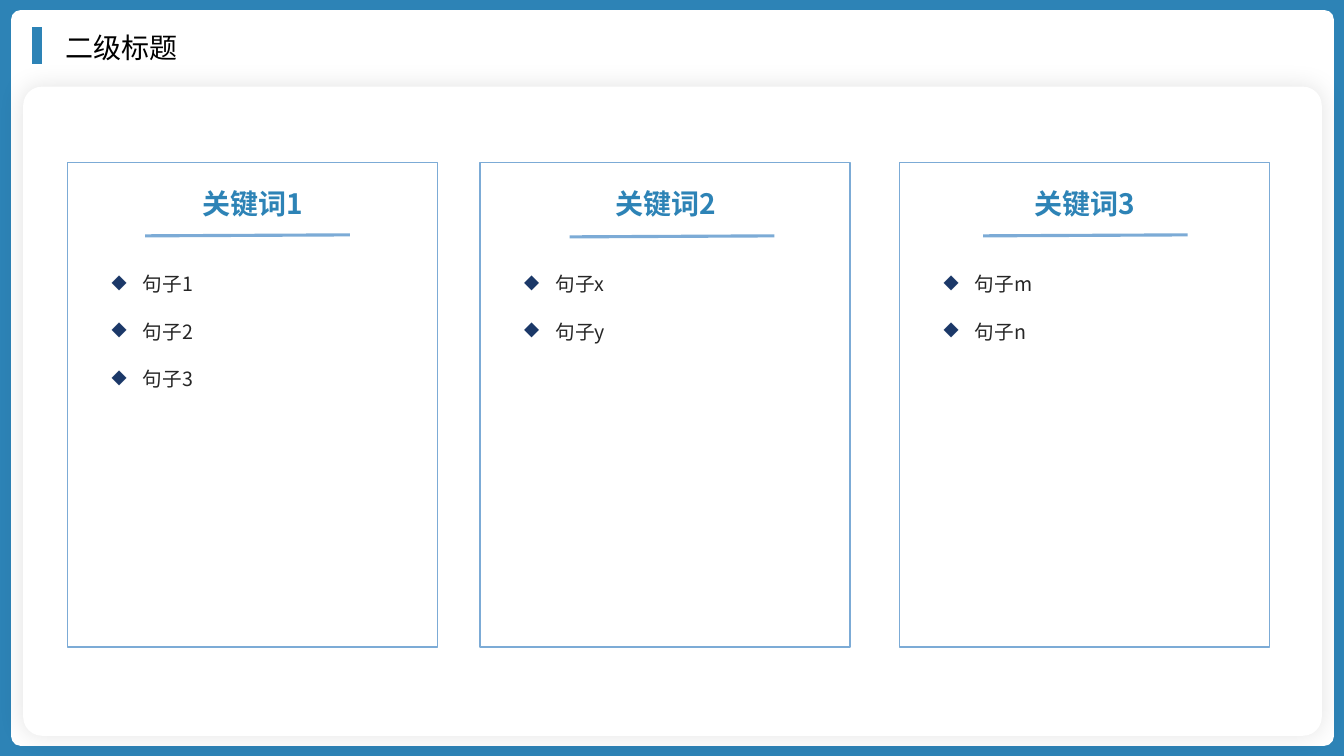
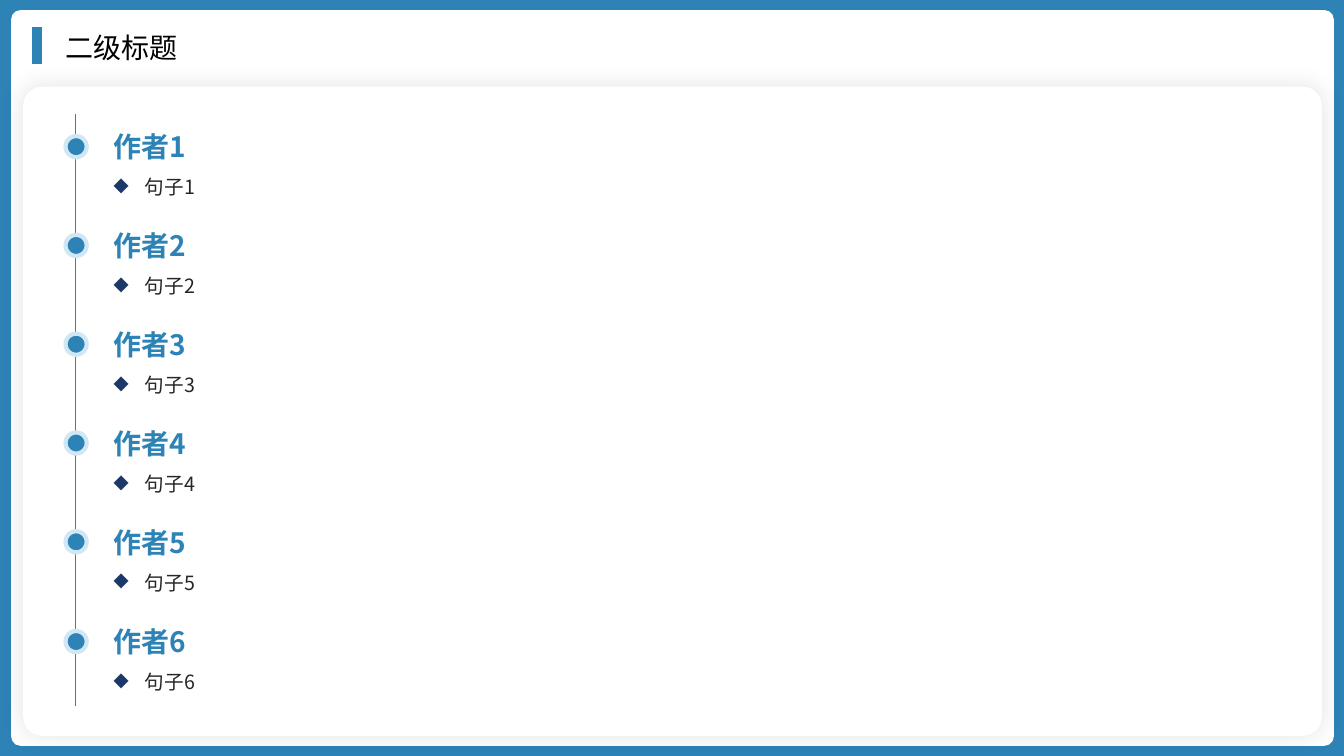
"""Build a three-card keyword slide and a six-author timeline slide."""
from dataclasses import dataclass

from lxml.etree import SubElement as Sub
from pptx import Presentation as Deck
from pptx.dml.color import RGBColor as Rgb
from pptx.enum.shapes import MSO_CONNECTOR as Link, MSO_SHAPE as Kind
from pptx.enum.text import MSO_AUTO_SIZE as Fit, PP_ALIGN as Align
from pptx.oxml.ns import qn
from pptx.shapes.autoshape import Shape
from pptx.slide import Slide
from pptx.util import Emu, Pt

SCALE = 9144
WIDE, HIGH = 1333, 750
BLUE, SKY, PALE = "2D83B6", "7CABD6", "D2E7F4"
NAVY, INK, BLACK, WHITE = "1B3868", "262626", "000000", "FFFFFF"
SANS = "Noto Sans CJK SC"

Box = tuple[int, int, int, int]


@dataclass(frozen=True)
class Style:
    font: dict
    hue: str
    para: dict
    mark: bool = False


@dataclass(frozen=True)
class Card:
    left: int
    head: str
    lines: list[str]
    rule: tuple[int, int]


TITLE = Style({"name": "Roboto", "size": Pt(20)}, BLACK, {})
HEAD = Style({"name": SANS, "size": Pt(20), "bold": True}, BLUE, {})
MID = Style(HEAD.font, BLUE, {"alignment": Align.CENTER})
BODY = Style({"name": SANS, "size": Pt(14)}, INK,
             {"line_spacing": 1.3, "space_before": Pt(6), "space_after": Pt(6)}, True)

CARDS = [
    Card(67, "关键词1", ["句子1", "句子2", "句子3"], (144, 234)),
    Card(476, "关键词2", ["句子x", "句子y"], (565, 235)),
    Card(892, "关键词3", ["句子m", "句子n"], (975, 234)),
]
COUNT, FIRST, LAST = 6, 124, 615


def px(num: int) -> Emu:
    """Turn px into EMU."""
    return Emu(num * SCALE)


def paint(part, hue: str) -> None:
    """Give a fill or font a solid colour."""
    if hasattr(part, "solid"):
        part.solid()
        part.fore_color.rgb = Rgb.from_string(hue)
    else:
        part.color.rgb = Rgb.from_string(hue)


def block(slide: Slide, kind: Kind, box: Box, fill: str = "", edge: str = "",
          size: float = 0, bend: float = 0) -> Shape:
    """Draw a preset shape."""
    shape = slide.shapes.add_shape(kind, *map(px, box))
    shape.shadow.inherit = False
    if fill:
        paint(shape.fill, fill)
    else:
        shape.fill.background()
    if edge:
        paint(shape.line.fill, edge)
        shape.line.width = Pt(size)
    else:
        shape.line.fill.background()
    if bend:
        shape.adjustments[0] = bend
    return shape


def glow(shape: Shape) -> None:
    """Add a soft shadow around a shape."""
    fx = shape._element.spPr.find(qn("a:effectLst"))
    soft = Sub(fx, qn("a:outerShdw"), blurRad=str(Pt(18)), dist="0", dir="0",
               algn="ctr", rotWithShape="0")
    Sub(Sub(soft, qn("a:srgbClr"), val=BLACK), qn("a:alpha"), val="11000")


def line(slide: Slide, ends: Box, hue: str, size: float) -> None:
    """Draw a straight line."""
    link = slide.shapes.add_connector(Link.STRAIGHT, *map(px, ends))
    paint(link.line.fill, hue)
    link.line.width = Pt(size)
    Sub(link._element.spPr, qn("a:effectLst"))


def bullet(para) -> None:
    """Give a paragraph a diamond bullet."""
    prop = para._p.get_or_add_pPr()
    prop.set("marL", str(px(31)))
    prop.set("indent", str(px(-31)))
    Sub(Sub(prop, qn("a:buClr")), qn("a:srgbClr"), val=NAVY)
    Sub(prop, qn("a:buFont"), typeface="OpenSymbol")
    Sub(prop, qn("a:buChar"), char="◆")


def write(slide: Slide, box: Box, lines: list[str], style: Style) -> None:
    """Write paragraphs in one style."""
    frame = slide.shapes.add_textbox(*map(px, box)).text_frame
    frame.word_wrap = True
    frame.auto_size = Fit.SHAPE_TO_FIT_TEXT
    for num, text in enumerate(lines):
        para = frame.add_paragraph() if num else frame.paragraphs[0]
        if style.mark:
            bullet(para)
        for key, val in style.para.items():
            setattr(para, key, val)
        if not num:
            para.space_before = Pt(0)
        run = para.add_run()
        run.text = text
        for key, val in style.font.items():
            setattr(run.font, key, val)
        paint(run.font, style.hue)
        Sub(run._r.get_or_add_rPr(), qn("a:ea"), typeface=SANS)


def start(deck: Deck, title: str) -> Slide:
    """Add a slide with the shared frame and title."""
    slide = deck.slides.add_slide(deck.slide_layouts[6])
    block(slide, Kind.RECTANGLE, (0, 0, WIDE, HIGH), BLUE)
    block(slide, Kind.ROUNDED_RECTANGLE, (11, 10, 1312, 730), WHITE, bend=0.013)
    glow(block(slide, Kind.ROUNDED_RECTANGLE, (23, 86, 1288, 644), WHITE, bend=0.029))
    line(slide, (37, 27, 37, 64), BLUE, 7.25)
    write(slide, (55, 25, 1242, 44), [title], TITLE)
    return slide


def words(deck: Deck) -> None:
    """Build the keyword cards."""
    slide = start(deck, "二级标题")
    for card in CARDS:
        block(slide, Kind.RECTANGLE, (card.left, 161, 367, 481), edge=SKY, size=1)
        write(slide, (card.left + 36, 180, 296, 44), [card.head], MID)
        left, top = card.rule
        line(slide, (left, top, left + 203, top - 1), SKY, 2.25)
        tall = 41 + 47 * (len(card.lines) - 1)
        write(slide, (card.left + 34, 258, 298, tall), card.lines, BODY)


def people(deck: Deck) -> None:
    """Build the author timeline."""
    slide = start(deck, "二级标题")
    line(slide, (75, 113, 75, 700), BLUE, 0.5)
    for num in range(COUNT):
        top = FIRST + num * (LAST - FIRST) // (COUNT - 1)
        block(slide, Kind.OVAL, (65, top + 11, 21, 21), BLUE, PALE, 3)
        write(slide, (103, top, 230, 44), [f"作者{num + 1}"], HEAD)
        write(slide, (103, top + 38, 1146, 41), [f"句子{num + 1}"], BODY)


def main() -> None:
    """Build and save the deck."""
    deck = Deck()
    deck.slide_width, deck.slide_height = px(WIDE), px(HIGH)
    words(deck)
    people(deck)
    deck.save("out.pptx")


if __name__ == "__main__":
    main()
